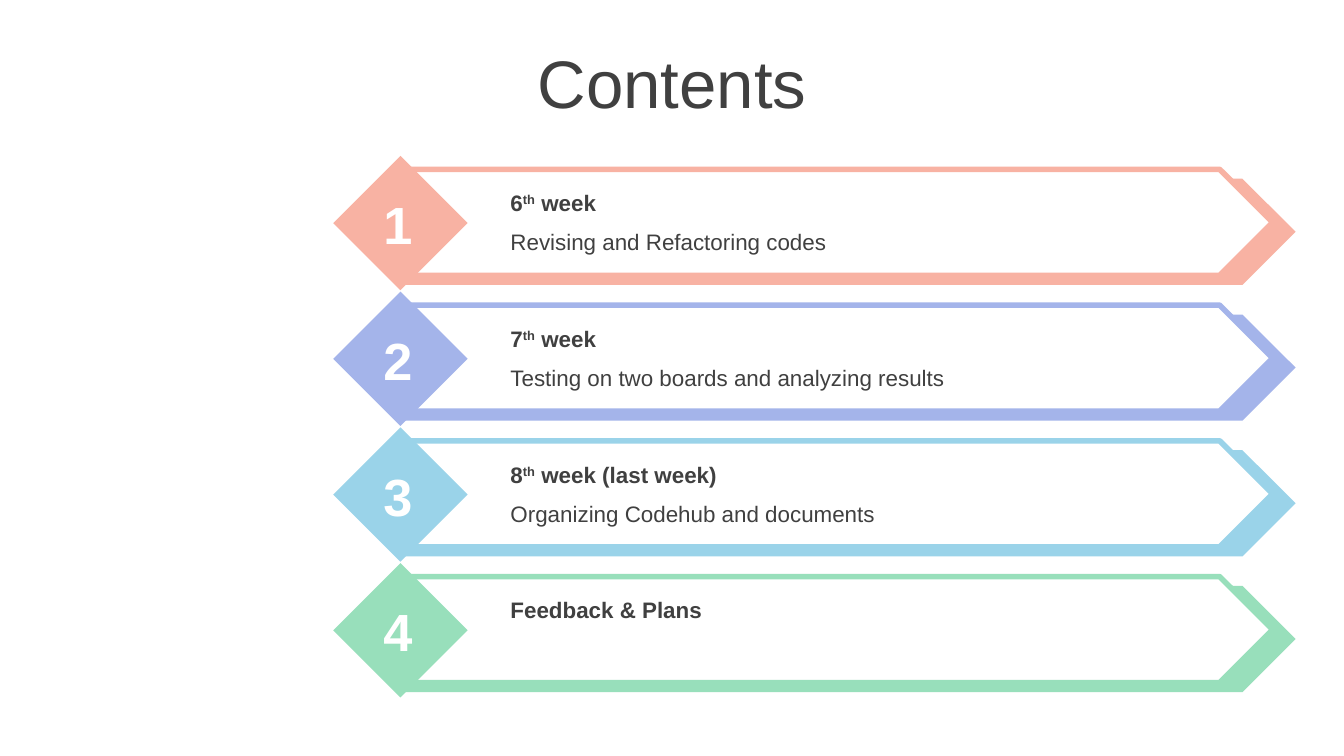
"""Build a contents slide with four numbered weekly banners."""
from dataclasses import dataclass

from pptx import Presentation
from pptx import util as u
from pptx.dml.color import RGBColor
from pptx.enum import shapes, text

COLORS = {
    "ink": "404040",
    "white": "FFFFFF",
    "coral": "F8B2A3",
    "periwinkle": "A4B4EA",
    "sky": "9AD3E9",
    "mint": "98DFBB",
}
FIRST_TOP = 1.16
ROW_STEP = 1.01


@dataclass(frozen=True)
class Topic:
    heading: str
    detail: str
    color: str


TOPICS = [
    Topic("6^th^ week", "Revising and Refactoring codes", "coral"),
    Topic("7^th^ week", "Testing on two boards and analyzing results", "periwinkle"),
    Topic("8^th^ week (last week)", "Organizing Codehub and documents", "sky"),
    Topic("Feedback & Plans", "", "mint"),
]


def rgb(name: str) -> RGBColor:
    """Look up a colour by name."""
    return RGBColor.from_string(COLORS[name])


def add_text(slide, content: str, left: float, top: float, width: float, height: float, *,
             size: float = 12, color: str = "ink", bold: bool = False,
             align=text.PP_ALIGN.LEFT, anchor=text.MSO_ANCHOR.TOP) -> None:
    """Add a text box; words between carets are superscript."""
    box = slide.shapes.add_textbox(u.Inches(left), u.Inches(top), u.Inches(width), u.Inches(height))
    frame = box.text_frame
    frame.word_wrap = True
    frame.vertical_anchor = anchor
    paragraph = frame.paragraphs[0]
    paragraph.alignment = align
    for index, part in enumerate(content.split("^")):
        run = paragraph.add_run()
        run.text = part
        run.font.name = "Arial"
        run.font.size = u.Pt(size)
        run.font.bold = bold
        run.font.color.rgb = rgb(color)
        if index % 2:
            run.font._element.set("baseline", "30000")


def add_block(slide, kind, left: float, top: float, width: float, height: float,
              fill: str, outline: str = "") -> None:
    """Add a filled preset shape with an optional outline."""
    block = slide.shapes.add_shape(
        kind, u.Inches(left), u.Inches(top), u.Inches(width), u.Inches(height))
    block.shadow.inherit = False
    block.fill.solid()
    block.fill.fore_color.rgb = rgb(fill)
    if outline:
        block.line.color.rgb = rgb(outline)
        block.line.width = u.Pt(3)
    else:
        block.line.fill.background()


def add_topic(slide, number: int, topic: Topic) -> None:
    """Draw one banner with its number, heading and detail."""
    top = FIRST_TOP + (number - 1) * ROW_STEP
    banner = shapes.MSO_SHAPE.PENTAGON
    add_block(slide, banner, 3, top + 0.17, 6.64, 0.79, topic.color)
    add_block(slide, banner, 3, top + 0.1, 6.47, 0.79, "white", topic.color)
    add_block(slide, shapes.MSO_SHAPE.DIAMOND, 2.48, top, 1, 1, topic.color)
    add_text(slide, str(number), 2.74, top + 0.22, 0.44, 0.57, size=28, color="white",
             bold=True, align=text.PP_ALIGN.CENTER, anchor=text.MSO_ANCHOR.MIDDLE)
    add_text(slide, topic.heading, 3.7, top + 0.2, 5.2, 0.3, bold=True)
    if topic.detail:
        add_text(slide, topic.detail, 3.7, top + 0.49, 5.2, 0.3)


def main() -> None:
    """Build and save the slide."""
    deck = Presentation()
    deck.slide_width = u.Inches(10)
    deck.slide_height = u.Inches(10 * 9 / 16)
    slide = deck.slides.add_slide(deck.slide_layouts[6])
    add_text(slide, "Contents", 0, 0.29, 10, 0.63, size=36,
             align=text.PP_ALIGN.CENTER, anchor=text.MSO_ANCHOR.MIDDLE)
    for number, topic in enumerate(TOPICS, start=1):
        add_topic(slide, number, topic)
    deck.save("out.pptx")


main()
